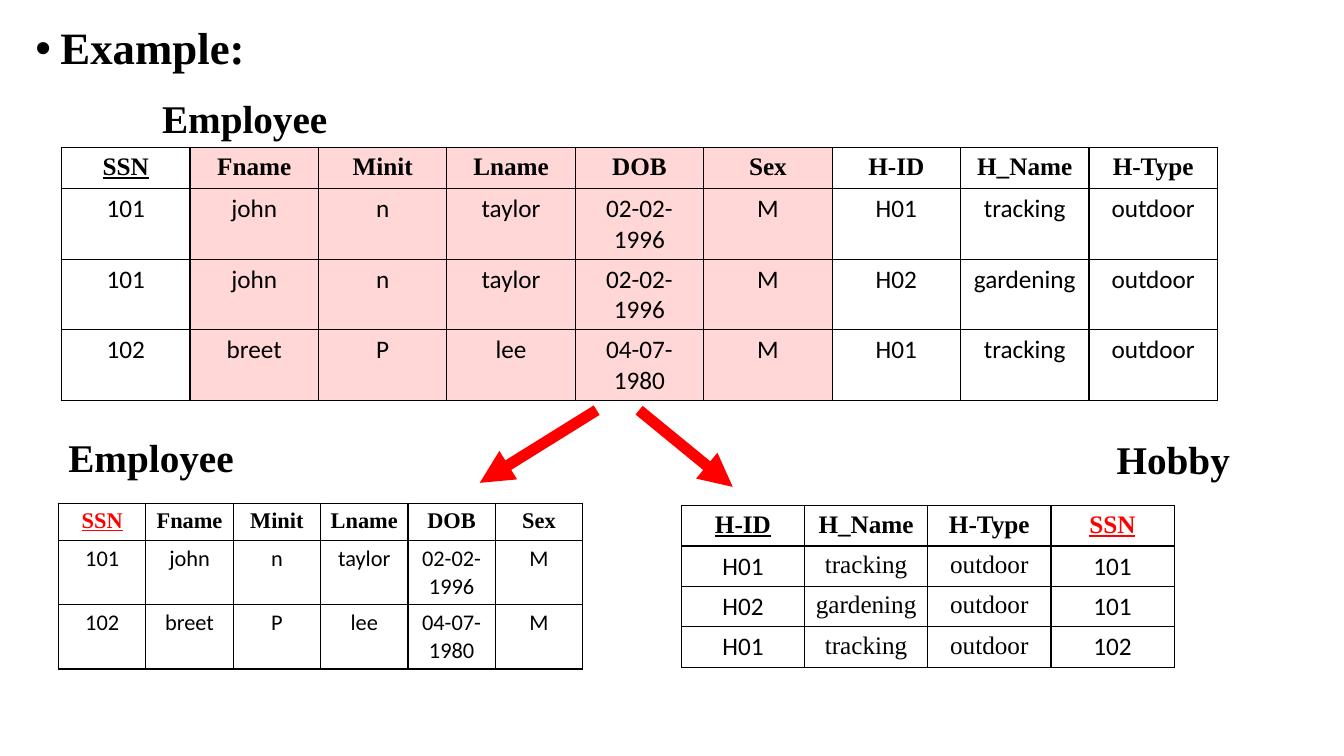
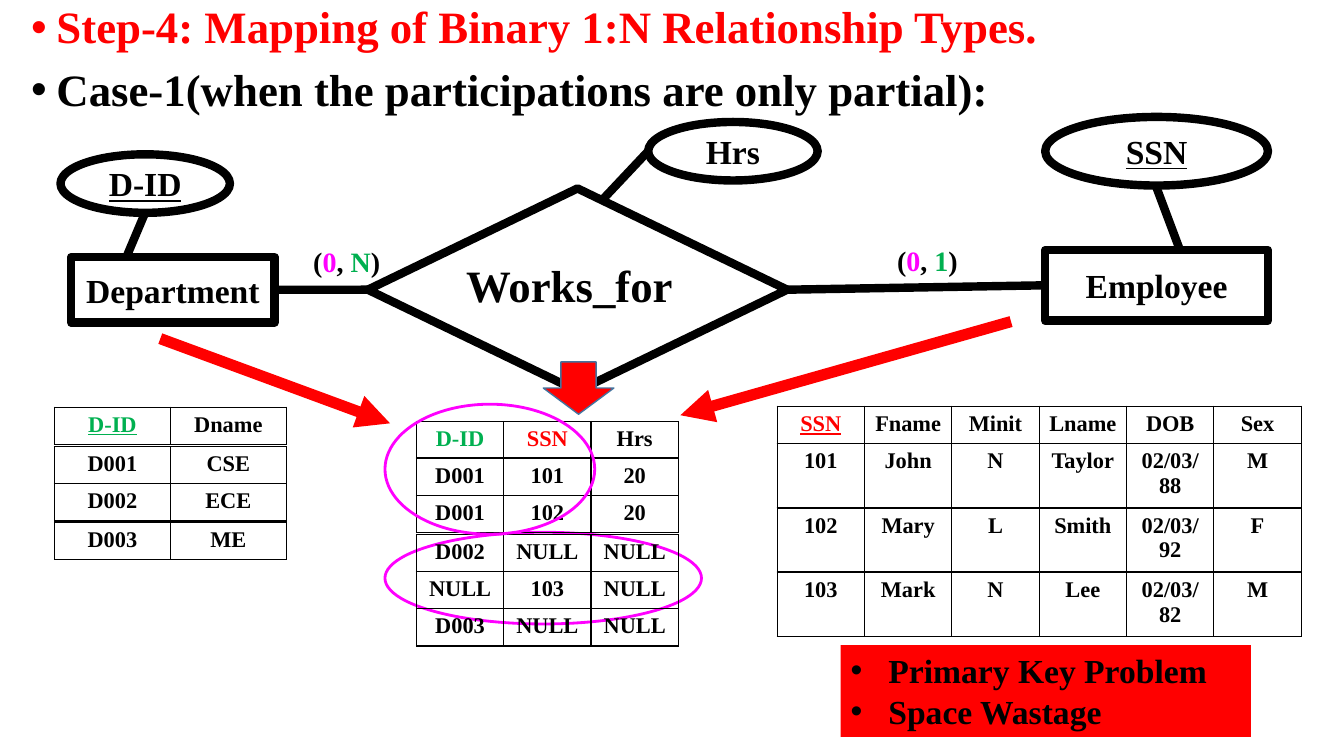
from dataclasses import dataclass, replace

from lxml import etree
from pptx import Presentation
from pptx.dml.color import RGBColor
from pptx.enum.shapes import MSO_CONNECTOR, MSO_SHAPE
from pptx.enum.text import MSO_ANCHOR, MSO_AUTO_SIZE, PP_ALIGN
from pptx.oxml.ns import qn
from pptx.util import Pt

CENTER, LEFT = PP_ALIGN.CENTER, PP_ALIGN.LEFT
MIDDLE, TOP = MSO_ANCHOR.MIDDLE, MSO_ANCHOR.TOP
FIT_SHAPE, NO_FIT = MSO_AUTO_SIZE.SHAPE_TO_FIT_TEXT, MSO_AUTO_SIZE.NONE
STRAIGHT = MSO_CONNECTOR.STRAIGHT
RECTANGLE, OVAL = MSO_SHAPE.RECTANGLE, MSO_SHAPE.OVAL
DIAMOND, DOWN_ARROW = MSO_SHAPE.DIAMOND, MSO_SHAPE.DOWN_ARROW
LEFT_SIDE, RIGHT_SIDE = 1, 3


@dataclass(frozen=True)
class Theme:
    black: str = "000000"
    white: str = "FFFFFF"
    red: str = "FF0000"
    green: str = "00B050"
    magenta: str = "FF00FF"
    pink: str = "FED7D6"
    blue: str = "43739E"
    serif: str = "Times New Roman"
    sans: str = "Calibri"
    heading: int = 32
    caption: int = 28
    entity: int = 24
    ratio: int = 20
    large_cell: int = 18
    small_cell: int = 16
    outline: int = 6
    arrow: int = 8
    ring: int = 2
    border: int = 1


THEME = Theme()


@dataclass(frozen=True)
class Look:
    size: int
    colour: str = THEME.black
    font: str = THEME.serif
    bold: bool = True
    underline: bool = False


HEADING = Look(THEME.heading)
CAPTION = Look(THEME.caption)
ENTITY = Look(THEME.entity)
KEY_ATTRIBUTE = replace(ENTITY, underline=True)
RATIO = Look(THEME.ratio)
LARGE_HEAD = Look(THEME.large_cell)
SMALL_HEAD = Look(THEME.small_cell)
LARGE_BODY = replace(LARGE_HEAD, font=THEME.sans, bold=False)
SMALL_BODY = replace(SMALL_HEAD, font=THEME.sans, bold=False)


def rgb(colour):
    return RGBColor.from_string(colour)


def points(*lengths):
    return [Pt(length) for length in lengths]


def style_run(run, look):
    font = run.font
    font.name, font.size, font.bold = look.font, Pt(look.size), look.bold
    font.underline = look.underline
    font.color.rgb = rgb(look.colour)


def write(para, text, look, align=LEFT):
    para.text = text
    para.alignment = align
    style_run(para.runs[0], look)


def add_bullet(para, indent):
    properties = para._p.get_or_add_pPr()
    properties.set("marL", str(Pt(indent)))
    properties.set("indent", str(-Pt(indent)))
    etree.SubElement(properties, qn("a:buFont")).set("typeface", "Arial")
    etree.SubElement(properties, qn("a:buChar")).set("char", "•")


def write_bullets(frame, items, indent, spacing=1.0, gap=0):
    """Write (text, look) items as a bulleted list."""
    frame.text = "\n".join(text for text, _ in items)
    for index, (para, (_, look)) in enumerate(zip(frame.paragraphs, items)):
        add_bullet(para, indent)
        para.alignment = LEFT
        para.line_spacing = spacing
        para.space_before = Pt(gap if index else 0)
        style_run(para.runs[0], look)


def add_page(deck, left, top, items):
    page = deck.slides.add_slide(deck.slide_layouts[1])
    title = page.shapes.title.element
    title.getparent().remove(title)
    body = page.placeholders[1]
    body.left, body.top, body.width, body.height = points(left, top, 914.4, 524.9)
    frame = body.text_frame
    frame.auto_size, frame.vertical_anchor = NO_FIT, TOP
    write_bullets(frame, items, indent=18, spacing=0.9, gap=10)
    return page


def add_caption(page, left, top, width, text):
    box = page.shapes.add_textbox(*points(left, top, width, 41))
    frame = box.text_frame
    frame.word_wrap, frame.auto_size = False, FIT_SHAPE
    write(frame.paragraphs[0], text, CAPTION)


def add_ratio(page, left, top, maximum):
    """Add a (minimum, maximum) participation label."""
    box = page.shapes.add_textbox(*points(left, top, 67.7, 35.3))
    frame = box.text_frame
    frame.word_wrap, frame.vertical_anchor = True, MIDDLE
    para = frame.paragraphs[0]
    para.alignment = CENTER
    parts = [("(", THEME.black), ("0", THEME.magenta), (", ", THEME.black),
             (maximum, THEME.green), (")", THEME.black)]
    for text, colour in parts:
        run = para.add_run()
        run.text = text
        style_run(run, replace(RATIO, colour=colour))


def add_figure(page, kind, place, fill=None, line=None, weight=THEME.outline):
    shape = page.shapes.add_shape(kind, *points(*place))
    shape.shadow.inherit = False
    if fill:
        shape.fill.solid()
        shape.fill.fore_color.rgb = rgb(fill)
    else:
        shape.fill.background()
    if line:
        shape.line.color.rgb = rgb(line)
        shape.line.width = Pt(weight)
    else:
        shape.line.fill.background()
    return shape


def add_node(page, kind, place, text, look=ENTITY):
    """Add an entity or attribute of the diagram."""
    node = add_figure(page, kind, place, THEME.white, THEME.black)
    frame = node.text_frame
    frame.word_wrap, frame.vertical_anchor = True, MIDDLE
    write(frame.paragraphs[0], text, look, CENTER)
    return node


def add_line(page, start, end, colour=THEME.black, weight=THEME.outline):
    line = page.shapes.add_connector(STRAIGHT, *points(*start, *end))
    line.line.color.rgb = rgb(colour)
    line.line.width = Pt(weight)
    etree.SubElement(line.element.spPr, qn("a:effectLst"))
    return line


def add_arrow(page, start, end):
    arrow = add_line(page, start, end, THEME.red, THEME.arrow)
    outline = arrow.element.spPr.find(qn("a:ln"))
    etree.SubElement(outline, qn("a:tailEnd")).set("type", "triangle")


def join(page, first, second):
    """Draw a line from the right side of one shape to the left of another."""
    line = add_line(page, (0, 0), (0, 0))
    line.begin_connect(first, RIGHT_SIDE)
    line.end_connect(second, LEFT_SIDE)


def add_borders(cell):
    properties = cell._tc.get_or_add_tcPr()
    for side in ("lnL", "lnR", "lnT", "lnB"):
        edge = etree.SubElement(properties, qn(f"a:{side}"))
        edge.set("w", str(Pt(THEME.border)))
        fill = etree.SubElement(edge, qn("a:solidFill"))
        etree.SubElement(fill, qn("a:srgbClr")).set("val", THEME.black)


def add_grid(page, left, top, column_width, heights, rows, head, body,
             special, tinted=()):
    """Add a table; special maps a cell text to its own look."""
    columns = len(rows[0])
    frame = page.shapes.add_table(len(rows), columns, *points(
        left, top, column_width * columns, sum(heights)))
    table = frame.table
    table.first_row = table.horz_banding = False
    for column in table.columns:
        column.width = Pt(column_width)
    for y, (row, height) in enumerate(zip(rows, heights)):
        table.rows[y].height = Pt(height)
        for x, text in enumerate(row):
            cell = table.cell(y, x)
            look = special.get(text, body if y else head)
            write(cell.text_frame.paragraphs[0], text, look, CENTER)
            add_borders(cell)
            if x in tinted:
                cell.fill.solid()
                cell.fill.fore_color.rgb = rgb(THEME.pink)
            else:
                cell.fill.background()


def add_strips(page, left, tops, column_width, rows, special, tall=26.5):
    """Add a relation as one-row tables; tall is the height below the head."""
    for index, (top, row) in enumerate(zip(tops, rows)):
        add_grid(page, left, top, column_width, [tall if index else 26.5],
                 [row], SMALL_HEAD, SMALL_HEAD, special)


def build_example(deck):
    page = add_page(deck, 18, 15.1, [("Example:", HEADING)])
    add_caption(page, 108.7, 64.1, 133.9, "Employee")
    add_caption(page, 41.8, 306, 133.9, "Employee")
    add_caption(page, 790.6, 307.4, 96.5, "Hobby")

    person_head = ["SSN", "Fname", "Minit", "Lname", "DOB", "Sex"]
    hobby_head = ["H-ID", "H_Name", "H-Type"]
    john = ["101", "john", "n", "taylor", "02-02-1996", "M"]
    breet = ["102", "breet", "P", "lee", "04-07-1980", "M"]
    tracking = ["H01", "tracking", "outdoor"]
    gardening = ["H02", "gardening", "outdoor"]

    key = replace(LARGE_HEAD, underline=True)
    foreign_key = replace(key, colour=THEME.red)
    add_grid(page, 44, 105.4, 91.75, [29.3] + [50.4] * 3,
             [person_head + hobby_head, john + tracking,
              john + gardening, breet + tracking],
             LARGE_HEAD, LARGE_BODY, {"SSN": key}, range(1, 6))
    add_grid(page, 41.8, 359.4, 62.4, [26.5, 46, 46],
             [person_head, john, breet], SMALL_HEAD, SMALL_BODY,
             {"SSN": replace(foreign_key, size=THEME.small_cell)})
    hobby_looks = {"H-ID": key, "SSN": foreign_key}
    for text in ("tracking", "gardening", "outdoor"):
        hobby_looks[text] = replace(LARGE_HEAD, bold=False)
    add_grid(page, 486.7, 361.1, 88, [28.9] * 4,
             [hobby_head + ["SSN"], tracking + ["101"],
              gardening + ["101"], tracking + ["102"]],
             LARGE_HEAD, LARGE_BODY, hobby_looks)

    add_arrow(page, (426.2, 293), (342.7, 344.9))
    add_arrow(page, (456.5, 293), (523.4, 347.8))


def add_diagram(page):
    add_line(page, (90, 184.3), (103.7, 151.9))
    add_line(page, (843.1, 179.3), (825.8, 133.2))
    add_line(page, (429.1, 144), (463, 108))
    department = add_node(page, RECTANGLE, (50.8, 183.6, 145.4, 46.8), "Department")
    employee = add_node(page, RECTANGLE, (746.6, 178.6, 159.1, 50.4), "Employee")
    add_node(page, OVAL, (43.2, 110.2, 121, 41.8), "D-ID", KEY_ATTRIBUTE)
    add_node(page, OVAL, (746.6, 83.5, 159.1, 49), "SSN", KEY_ATTRIBUTE)
    add_node(page, OVAL, (463, 87.1, 121, 41.8), "Hrs")
    works_for = add_figure(page, DIAMOND, (262.8, 134.6, 299.5, 144.7),
                           line=THEME.black)
    name = page.shapes.add_textbox(*points(312.5, 180.7, 188.6, 46.1))
    name.text_frame.word_wrap = True
    write(name.text_frame.paragraphs[0], "Works_for", HEADING, CENTER)
    join(page, department, works_for)
    join(page, works_for, employee)
    add_ratio(page, 213.8, 169.2, "N")
    add_ratio(page, 628.6, 168.5, "1")


def build_mapping(deck):
    page = add_page(deck, 15.1, 0, [
        ("Step-4: Mapping of Binary 1:N Relationship Types.",
         replace(HEADING, colour=THEME.red)),
        ("Case-1(when the participations are only partial):", HEADING)])
    add_diagram(page)

    red_head = replace(SMALL_HEAD, colour=THEME.red)
    green_head = replace(SMALL_HEAD, colour=THEME.green)
    add_strips(page, 555.1, [290.2, 316.8, 362.9, 409], 62.4, [
        ["SSN", "Fname", "Minit", "Lname", "DOB", "Sex"],
        ["101", "John", "N", "Taylor", "02/03/88", "M"],
        ["102", "Mary", "L", "Smith", "02/03/92", "F"],
        ["103", "Mark", "N", "Lee", "02/03/82", "M"],
    ], {"SSN": replace(red_head, underline=True)}, tall=45.7)
    add_strips(page, 38.9, [290.9, 319, 345.6, 373], 82.8, [
        ["D-ID", "Dname"], ["D001", "CSE"], ["D002", "ECE"], ["D003", "ME"],
    ], {"D-ID": replace(green_head, underline=True)})

    add_figure(page, OVAL, (275, 380.2, 226.1, 65.5),
               line=THEME.magenta, weight=THEME.ring)
    add_strips(page, 297.4, [301, 327.2, 353.7, 381.6, 408.2, 434.9], 62.4, [
        ["D-ID", "SSN", "Hrs"], ["D001", "101", "20"], ["D001", "102", "20"],
        ["D002", "NULL", "NULL"], ["NULL", "103", "NULL"],
        ["D003", "NULL", "NULL"],
    ], {"D-ID": green_head, "SSN": red_head})
    add_figure(page, OVAL, (275, 288.7, 149.8, 92.9),
               line=THEME.magenta, weight=THEME.ring)

    problems = add_figure(page, RECTANGLE, (600.5, 460.8, 293, 65.5), THEME.red)
    problems.text_frame.word_wrap = True
    problems.text_frame.vertical_anchor = TOP
    write_bullets(problems.text_frame, [
        ("Primary Key Problem", ENTITY), ("Space Wastage", ENTITY)], indent=27)

    add_arrow(page, (722.2, 229.7), (486, 296.6))
    add_figure(page, DOWN_ARROW, (388.1, 258.5, 50.4, 37.4),
               THEME.red, THEME.blue, THEME.border)
    add_arrow(page, (114.5, 241.9), (278.6, 302.4))


def main():
    deck = Presentation()
    deck.slide_width, deck.slide_height = points(960, 540)
    build_example(deck)
    build_mapping(deck)
    deck.save("out.pptx")


if __name__ == "__main__":
    main()
